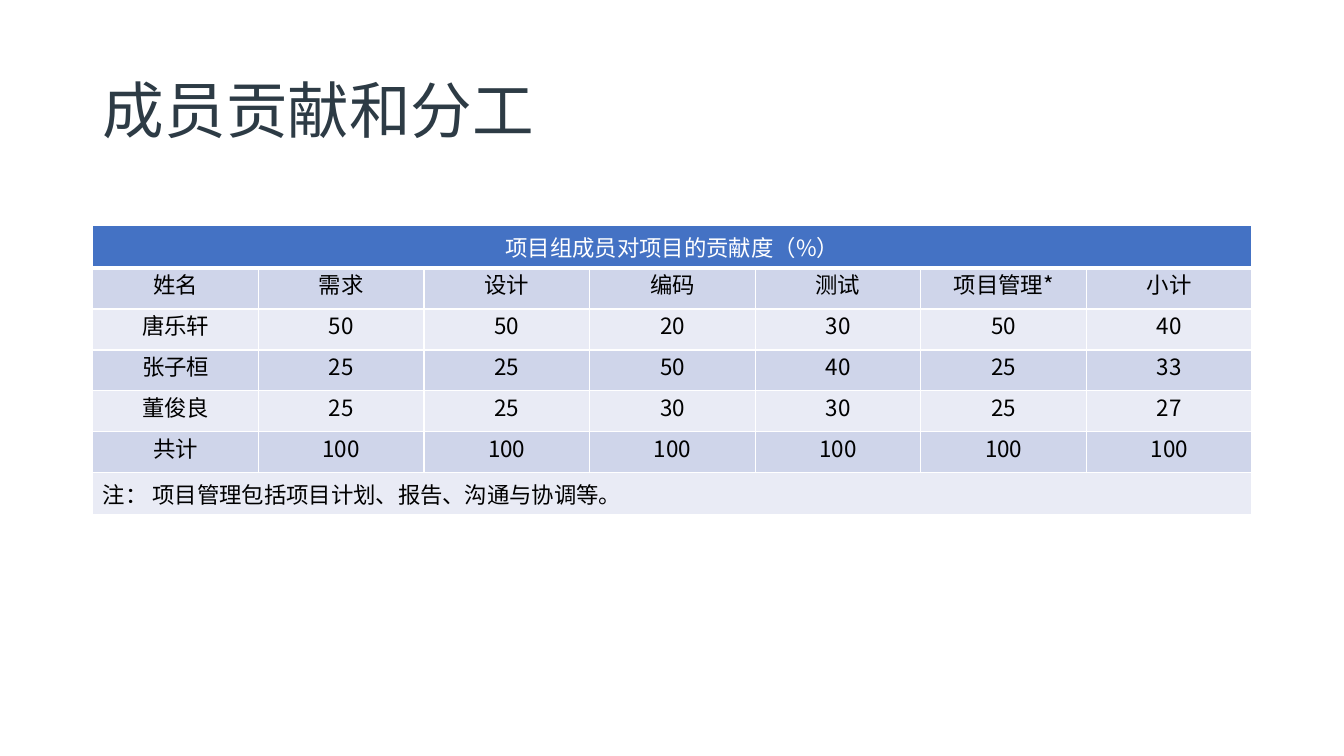
from dataclasses import dataclass

from lxml import etree
from pptx import Presentation
from pptx.dml.color import RGBColor
from pptx.enum.text import MSO_ANCHOR, MSO_AUTO_SIZE, PP_ALIGN
from pptx.oxml.ns import qn
from pptx.util import Inches, Pt

MIDDLE = MSO_ANCHOR.MIDDLE
NO_FIT = MSO_AUTO_SIZE.NONE
LEFT, CENTER = PP_ALIGN.LEFT, PP_ALIGN.CENTER


@dataclass(frozen=True)
class Theme:
    title_font: str = "Calibri"
    body_font: str = "Noto Sans CJK SC"
    title_size: int = 44
    body_size: int = 16
    line_pitch: int = 23
    title: str = "2D3B45"
    text: str = "000000"
    white: str = "FFFFFF"
    head: str = "4472C4"
    bands: tuple = ("E9EBF5", "CFD5EA")


class Deck:
    def __init__(self, theme):
        self.theme = theme
        self.file = Presentation()
        self.file.slide_width = Inches(13.33)
        self.file.slide_height = Inches(7.5)
        self.slide = self.file.slides.add_slide(self.file.slide_layouts[5])

    def style(self, para, name, size, color, align):
        para.alignment = align
        font = para.font
        font.name, font.size, font.bold = name, Pt(size), False
        font.color.rgb = RGBColor.from_string(color)
        # East Asian glyphs use the body font
        props = para._p.pPr.find(qn("a:defRPr"))
        asian = etree.SubElement(props, qn("a:ea"))
        asian.set("typeface", self.theme.body_font)

    def title(self, text, left, top, width, height):
        box = self.slide.shapes.title
        box.left, box.top = Inches(left), Inches(top)
        box.width, box.height = Inches(width), Inches(height)
        frame = box.text_frame
        frame.text = text
        frame.auto_size = NO_FIT
        frame.vertical_anchor = MIDDLE
        para = frame.paragraphs[0]
        para.line_spacing = 0.9
        self.style(para, self.theme.title_font, self.theme.title_size,
                   self.theme.title, LEFT)

    def border(self, cell, bottom=1):
        props = cell._tc.get_or_add_tcPr()
        for side, width in (("L", 1), ("R", 1), ("T", 1), ("B", bottom)):
            line = etree.SubElement(props, qn(f"a:ln{side}"), w=str(Pt(width)))
            fill = etree.SubElement(line, qn("a:solidFill"))
            etree.SubElement(fill, qn("a:srgbClr"), val=self.theme.white)

    def cell(self, cell, text, fill, color, align=CENTER):
        cell.text = text
        cell.fill.solid()
        cell.fill.fore_color.rgb = RGBColor.from_string(fill)
        para = cell.text_frame.paragraphs[0]
        self.style(para, self.theme.body_font, self.theme.body_size,
                   color, align)
        return para

    def table(self, head, rows, note, left, top, width, height):
        theme = self.theme
        count, last = len(rows[0]), len(rows) + 1
        grid = self.slide.shapes.add_table(
            last + 1, count, Inches(left), Inches(top),
            Inches(width), Inches(height)).table
        for r in range(last + 1):
            for c in range(count):
                self.border(grid.cell(r, c), 1 if r else 3)

        # Full-width heading and note
        for r in (0, last):
            grid.cell(r, 0).merge(grid.cell(r, count - 1))
        self.cell(grid.cell(0, 0), head, theme.head, theme.white)
        self.cell(grid.cell(last, 0), note, theme.bands[last % 2],
                  theme.text, LEFT)

        # Banded body
        for r, row in enumerate(rows, 1):
            for c, value in enumerate(row):
                cell = grid.cell(r, c)
                para = self.cell(cell, str(value), theme.bands[r % 2],
                                 theme.text)
                para.line_spacing = Pt(theme.line_pitch)
                cell.margin_left = cell.margin_right = Inches(0.07)
                cell.margin_top = cell.margin_bottom = 0


def main():
    deck = Deck(Theme())
    deck.title("成员贡献和分工", 0.92, 0.4, 11.5, 1.45)

    # Share of each member by task
    rows = [
        ("姓名", "需求", "设计", "编码", "测试", "项目管理*", "小计"),
        ("唐乐轩", 50, 50, 20, 30, 50, 40),
        ("张子桓", 25, 25, 50, 40, 25, 33),
        ("董俊良", 25, 25, 30, 30, 25, 27),
        ("共计",) + (100,) * 6,
    ]
    deck.table("项目组成员对项目的贡献度（%）", rows,
               "注： 项目管理包括项目计划、报告、沟通与协调等。",
               0.92, 2.24, 11.5, 2.84)
    deck.file.save("out.pptx")


if __name__ == "__main__":
    main()
